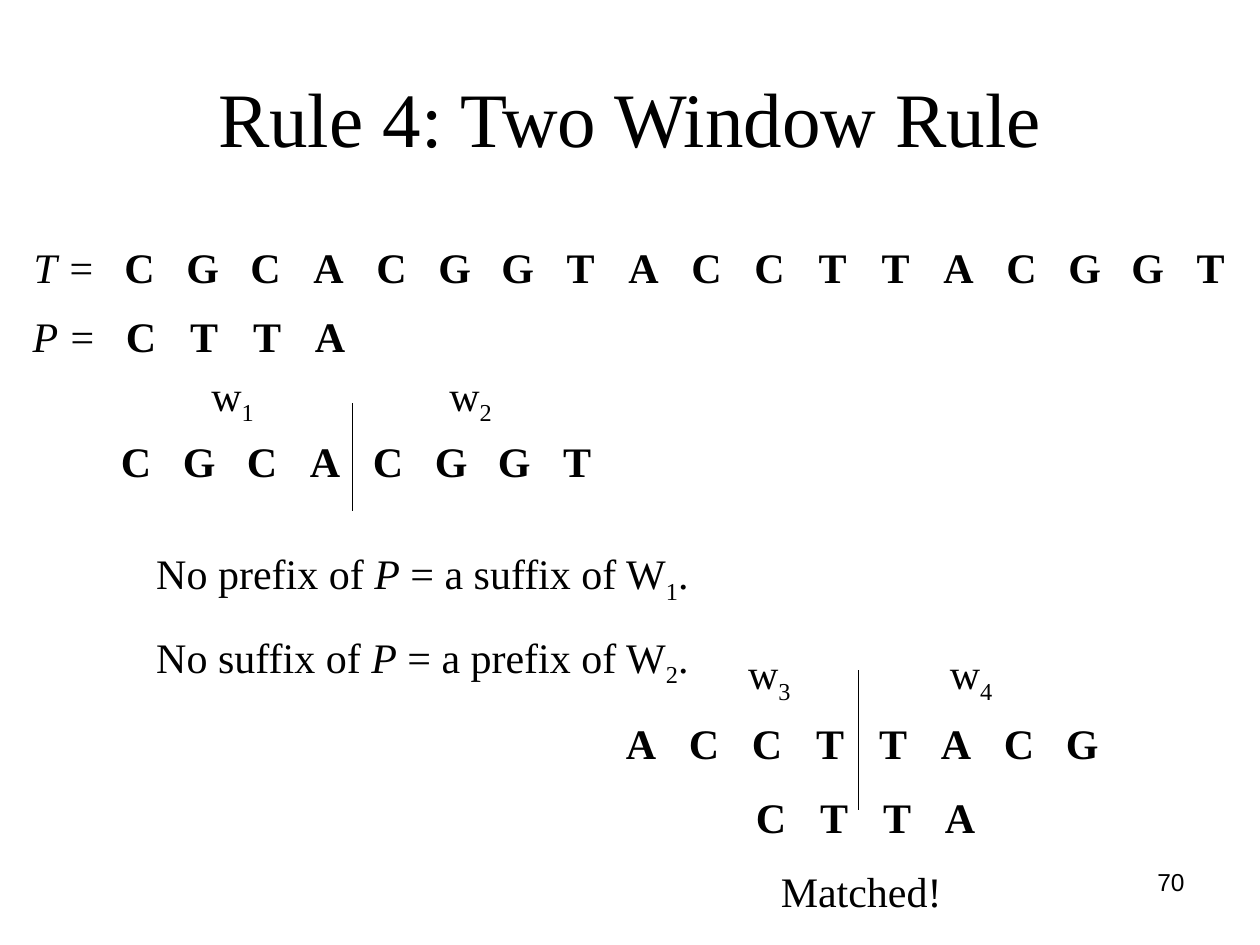
from pptx import Presentation
from pptx import util as u
from pptx.dml.color import RGBColor
from pptx.enum import shapes, text
from pptx.oxml.ns import qn
from lxml import etree

BLACK = RGBColor(0x00, 0x00, 0x00)
SERIF, SANS = "Times New Roman", "Arial"
CELL = 1.27  # width, height and pitch of one sequence letter, in cm
LEFT, CENTER, RIGHT = text.PP_ALIGN.LEFT, text.PP_ALIGN.CENTER, text.PP_ALIGN.RIGHT


class SlideBuilder:
    """Holds the text style and the slide being filled."""

    def __init__(self, slide, font=SERIF, size=24, gap=15):
        self.slide, self.font, self.size, self.gap = slide, font, size, gap

    def run(self, paragraph, wording, style="", size=None, font=None):
        """Add a run; style is any of b(old), i(talic), s(ubscript)."""
        run = paragraph.add_run()
        run.text = wording
        run.font.name = font or self.font
        run.font.size = u.Pt(size or self.size)
        run.font.color.rgb = BLACK
        run.font.bold, run.font.italic = "b" in style, "i" in style
        if "s" in style:
            run.font._element.set("baseline", "-25000")

    def label(self, x, y, w, h, lines, align=LEFT, middle=False, **style):
        """Add a text box; each line is a list of (wording, style) runs."""
        frame = self.slide.shapes.add_textbox(u.Cm(x), u.Cm(y), u.Cm(w), u.Cm(h)).text_frame
        frame.word_wrap = True
        if middle:
            frame.vertical_anchor = text.MSO_ANCHOR.MIDDLE
        for index, line in enumerate(lines):
            paragraph = frame.add_paragraph() if index else frame.paragraphs[0]
            paragraph.alignment = align
            if index:
                paragraph.space_before = u.Pt(self.gap)
            for wording, run_style in line:
                self.run(paragraph, wording, run_style, **style)

    def sequence(self, x, y, letters):
        for index, letter in enumerate(letters):
            self.label(x + index * CELL, y, CELL, CELL, [[(letter, "b")]], CENTER)

    def window_name(self, x, y, number):
        self.label(x, y, 1.8, 1.42, [[("w", ""), (number, "s")]])

    def divider(self, x, top, bottom):
        line = self.slide.shapes.add_connector(
            shapes.MSO_CONNECTOR.STRAIGHT, u.Cm(x), u.Cm(top), u.Cm(x), u.Cm(bottom))
        line.line.color.rgb = BLACK
        line.line.width = u.Pt(0.75)
        etree.SubElement(line._element.spPr, qn("a:effectLst"))


def main():
    deck = Presentation()
    deck.slide_width, deck.slide_height = u.Cm(25.4), u.Cm(19.05)
    builder = SlideBuilder(deck.slides.add_slide(deck.slide_layouts[6]))

    # Title
    builder.label(1.27, 0.76, 22.86, 3.18, [[("Rule 4: Two Window Rule", "")]],
                  CENTER, middle=True, size=44)

    # Text T and pattern P
    for name, x, y, letters in (("T =", 2.18, 4.74, "CGCACGGTACCTTACGGT"),
                                ("P =", 2.21, 6.14, "CTTA")):
        builder.label(0.3, y, 2, CELL, [[(name, "i")]], CENTER)
        builder.sequence(x, y, letters)

    # First pair of windows
    builder.window_name(4.01, 7.32, "1")
    builder.window_name(8.81, 7.32, "2")
    builder.sequence(2.11, 8.66, "CGCACGGT")
    builder.divider(7.11, 8.13, 10.31)

    # Why the first pair is skipped
    builder.label(2.9, 10.92, 16, 3.1, [
        [(f"No {part} of ", ""), ("P", "i"), (f" = a {other} of W", ""), (number, "s"), (".", "")]
        for part, other, number in (("prefix", "suffix", "1"), ("suffix", "prefix", "2"))])

    # Second pair of windows, with the pattern aligned below
    builder.window_name(14.83, 12.93, "3")
    builder.window_name(18.9, 12.93, "4")
    builder.sequence(12.29, 14.33, "ACCTTACG")
    builder.sequence(14.91, 15.83, "CTTA")
    builder.divider(17.3, 13.51, 16.33)
    builder.label(15.49, 17.32, 4.8, CELL, [[("Matched!", "")]])

    # Slide number
    builder.label(18.21, 17.35, 5.92, 1.32, [[("70", "")]], RIGHT, size=14, font=SANS)

    deck.save("out.pptx")


if __name__ == "__main__":
    main()
